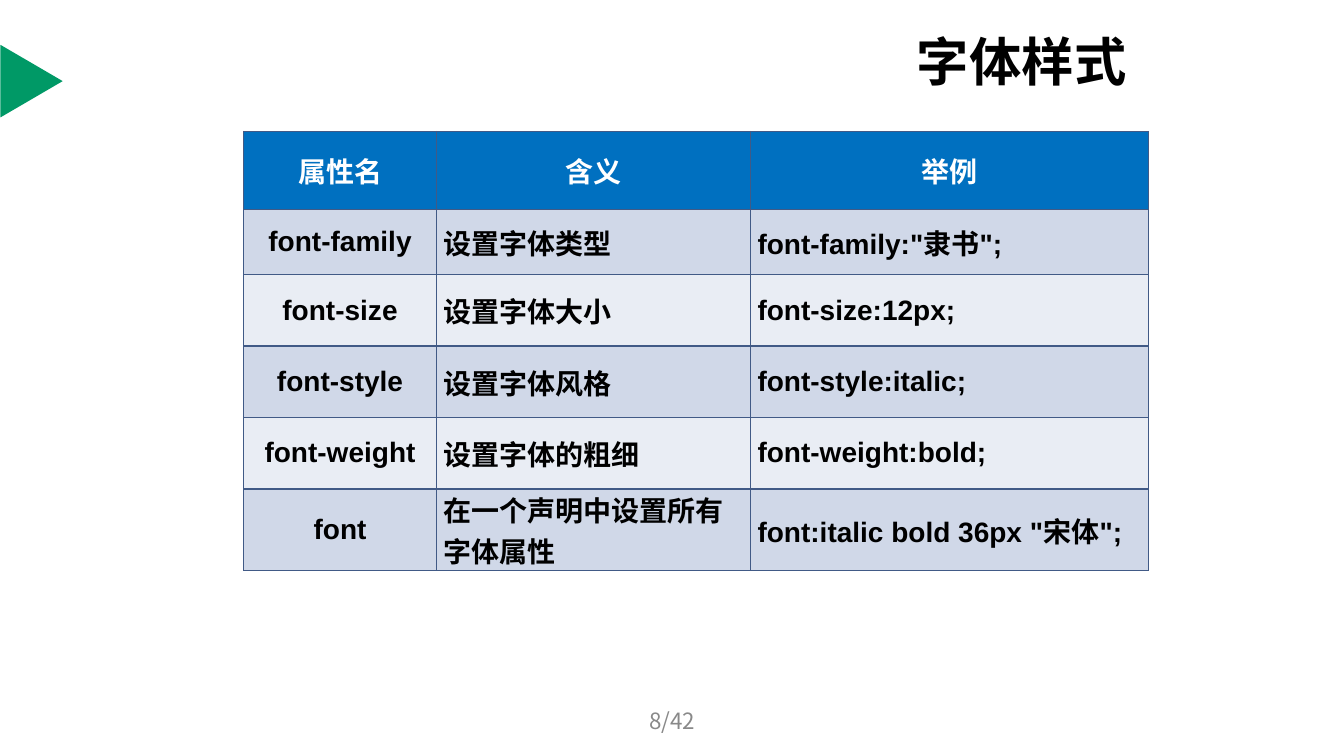
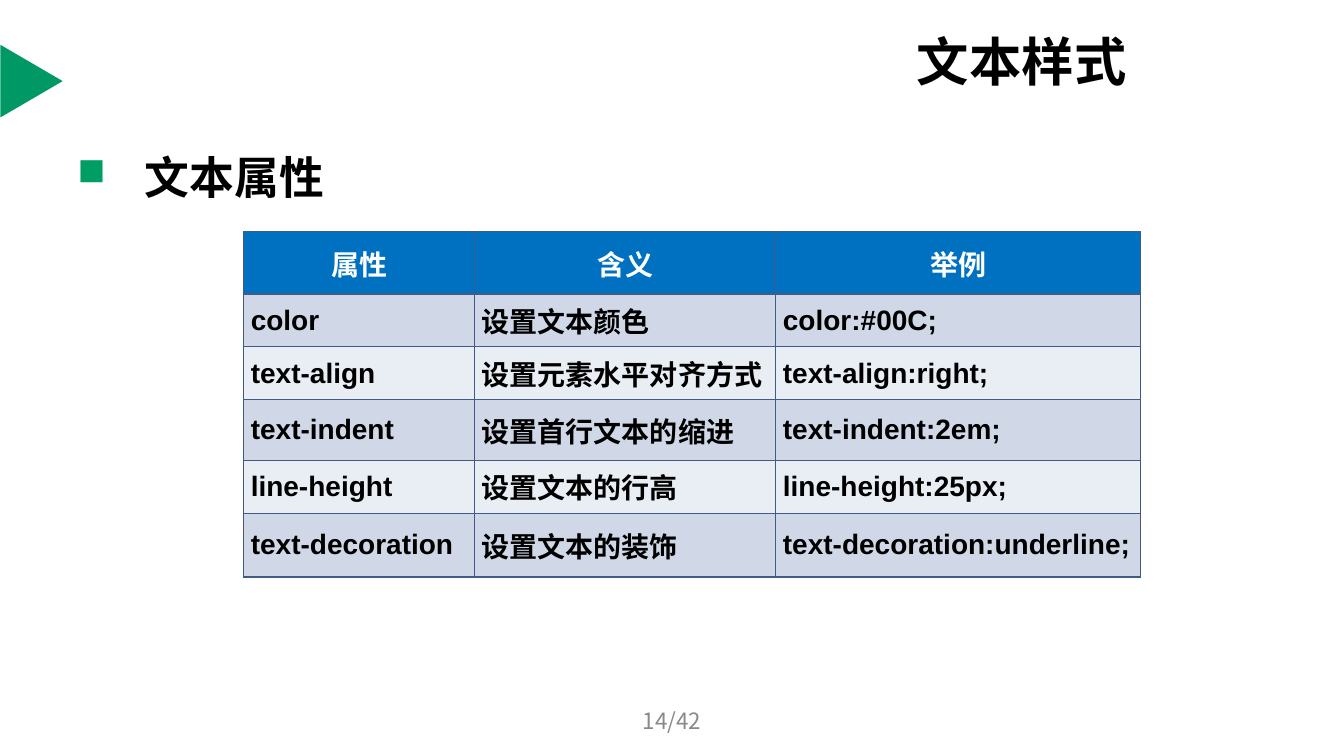
from lxml.etree import SubElement
from pptx import Presentation
from pptx.dml.color import RGBColor
from pptx.enum.shapes import MSO_SHAPE
from pptx.enum.text import MSO_ANCHOR, PP_ALIGN
from pptx.oxml import parse_xml
from pptx.oxml.ns import nsdecls, qn
from pptx.util import Cm, Pt

BLACK, WHITE, GREY = "000000", "FFFFFF", "898989"
MARKER_GREEN, BULLET_GREEN = "009966", "009E64"
HEADER_BLUE, BORDER_BLUE = "0070C0", "415A86"
BANDS = ("D0D8E8", "E9EDF4")
LATIN_FONT, CJK_FONT = "Arial", "Noto Sans CJK SC"
PAGE_TOTAL = 42
TABLE_LEFT = 6.14


def rgb(value):
    return RGBColor.from_string(value)


def paint(part, color):
    part.fill.solid()
    part.fill.fore_color.rgb = rgb(color)


def style(paragraph, size, color, font=CJK_FONT, bold=True, align=PP_ALIGN.LEFT):
    paragraph.alignment = align
    paragraph.font.size = Pt(size)
    paragraph.font.bold = bold
    paragraph.font.color.rgb = rgb(color)
    paragraph.font.name = font
    defaults = paragraph._p.pPr.find(qn("a:defRPr"))
    SubElement(defaults, qn("a:ea"), typeface=CJK_FONT)


def add_text(slide, text, left, top, width, height, anchor=MSO_ANCHOR.MIDDLE, **look):
    box = slide.shapes.add_textbox(Cm(left), Cm(top), Cm(width), Cm(height))
    frame = box.text_frame
    frame.word_wrap = True
    frame.vertical_anchor = anchor
    paragraph = frame.paragraphs[0]
    paragraph.text = text
    style(paragraph, **look)
    return paragraph


def add_bullet_heading(slide, text):
    heading = add_text(slide, text, 1.7, 3.64, 30.48, 1.9, MSO_ANCHOR.TOP,
                       size=32, color=BLACK)
    properties = heading._p.pPr
    indent = Cm(1.7)
    properties.set("marL", str(indent))
    properties.set("indent", str(-indent))
    defaults = properties.find(qn("a:defRPr"))
    for xml in (
        f'<a:buClr {nsdecls("a")}><a:srgbClr val="{BULLET_GREEN}"/></a:buClr>',
        f'<a:buSzPct {nsdecls("a")} val="85000"/>',
        f'<a:buFont {nsdecls("a")} typeface="Wingdings" charset="2"/>',
        f'<a:buChar {nsdecls("a")} char="n"/>',
    ):
        defaults.addprevious(parse_xml(xml))


def add_borders(cell):
    """Draw the four cell edges; they go before the fill in the cell XML."""
    properties = cell._tc.get_or_add_tcPr()
    for position, edge in enumerate(("lnL", "lnR", "lnT", "lnB")):
        properties.insert(position, parse_xml(
            f'<a:{edge} {nsdecls("a")} w="{Pt(1)}"><a:solidFill>'
            f'<a:srgbClr val="{BORDER_BLUE}"/></a:solidFill></a:{edge}>'))


def add_property_table(slide, top, widths, heights, rows, name_align=PP_ALIGN.LEFT):
    table = slide.shapes.add_table(
        len(rows), len(widths), Cm(TABLE_LEFT), Cm(top),
        Cm(sum(widths)), Cm(sum(heights))).table
    for column, width in zip(table.columns, widths):
        column.width = Cm(width)
    for row, height in zip(table.rows, heights):
        row.height = Cm(height)
    for r, texts in enumerate(rows):
        is_header = r == 0
        for c, text in enumerate(texts):
            cell = table.cell(r, c)
            cell.text = text
            cell.vertical_anchor = MSO_ANCHOR.MIDDLE
            cell.margin_left = cell.margin_right = Cm(0.18)
            cell.margin_top = cell.margin_bottom = 0
            paint(cell, HEADER_BLUE if is_header else BANDS[(r - 1) % 2])
            add_borders(cell)
            if is_header:
                align = PP_ALIGN.CENTER
            else:
                align = name_align if c == 0 else PP_ALIGN.LEFT
            style(cell.text_frame.paragraphs[0], 20, WHITE if is_header else BLACK,
                  LATIN_FONT, align=align)


def add_base_slide(deck, title, page):
    """Add a slide with the side marker, title and page number."""
    slide = deck.slides.add_slide(deck.slide_layouts[6])
    marker = slide.shapes.add_shape(MSO_SHAPE.ISOSCELES_TRIANGLE,
                                    Cm(-0.12), Cm(1.26), Cm(1.83), Cm(1.57))
    marker.rotation = 90
    marker.shadow.inherit = False
    marker.line.fill.background()
    paint(marker, MARKER_GREEN)
    add_text(slide, title, 22.86, 0.79, 6.27, 1.45, size=37.4, color=BLACK)
    add_text(slide, f"{page}/{PAGE_TOTAL}", 11.58, 17.65, 10.72, 1.02,
             size=16, color=GREY, bold=False, align=PP_ALIGN.CENTER)
    return slide


def main():
    deck = Presentation()
    deck.slide_width, deck.slide_height = Cm(33.87), Cm(19.05)

    font_slide = add_base_slide(deck, "字体样式", 8)
    add_property_table(
        font_slide, 3.31, (4.86, 7.91, 10.03), (1.96, 1.65, 1.8, 1.8, 1.8, 2.06),
        (
            ("属性名", "含义", "举例"),
            ("font-family", "设置字体类型", 'font-family:"隶书";'),
            ("font-size", "设置字体大小", "font-size:12px;"),
            ("font-style", "设置字体风格", "font-style:italic;"),
            ("font-weight", "设置字体的粗细", "font-weight:bold;"),
            ("font", "在一个声明中设置所有字体属性", 'font:italic bold 36px "宋体";'),
        ),
        name_align=PP_ALIGN.CENTER)

    text_slide = add_base_slide(deck, "文本样式", 14)
    add_bullet_heading(text_slide, "文本属性")
    add_property_table(
        text_slide, 5.84, (5.82, 7.59, 9.2), (1.57, 1.33, 1.33, 1.53, 1.33, 1.61),
        (
            ("属性", "含义", "举例"),
            ("color", "设置文本颜色", "color:#00C;"),
            ("text-align", "设置元素水平对齐方式", "text-align:right;"),
            ("text-indent", "设置首行文本的缩进", "text-indent:2em;"),
            ("line-height", "设置文本的行高", "line-height:25px;"),
            ("text-decoration", "设置文本的装饰", "text-decoration:underline;"),
        ))

    deck.save("out.pptx")


if __name__ == "__main__":
    main()
